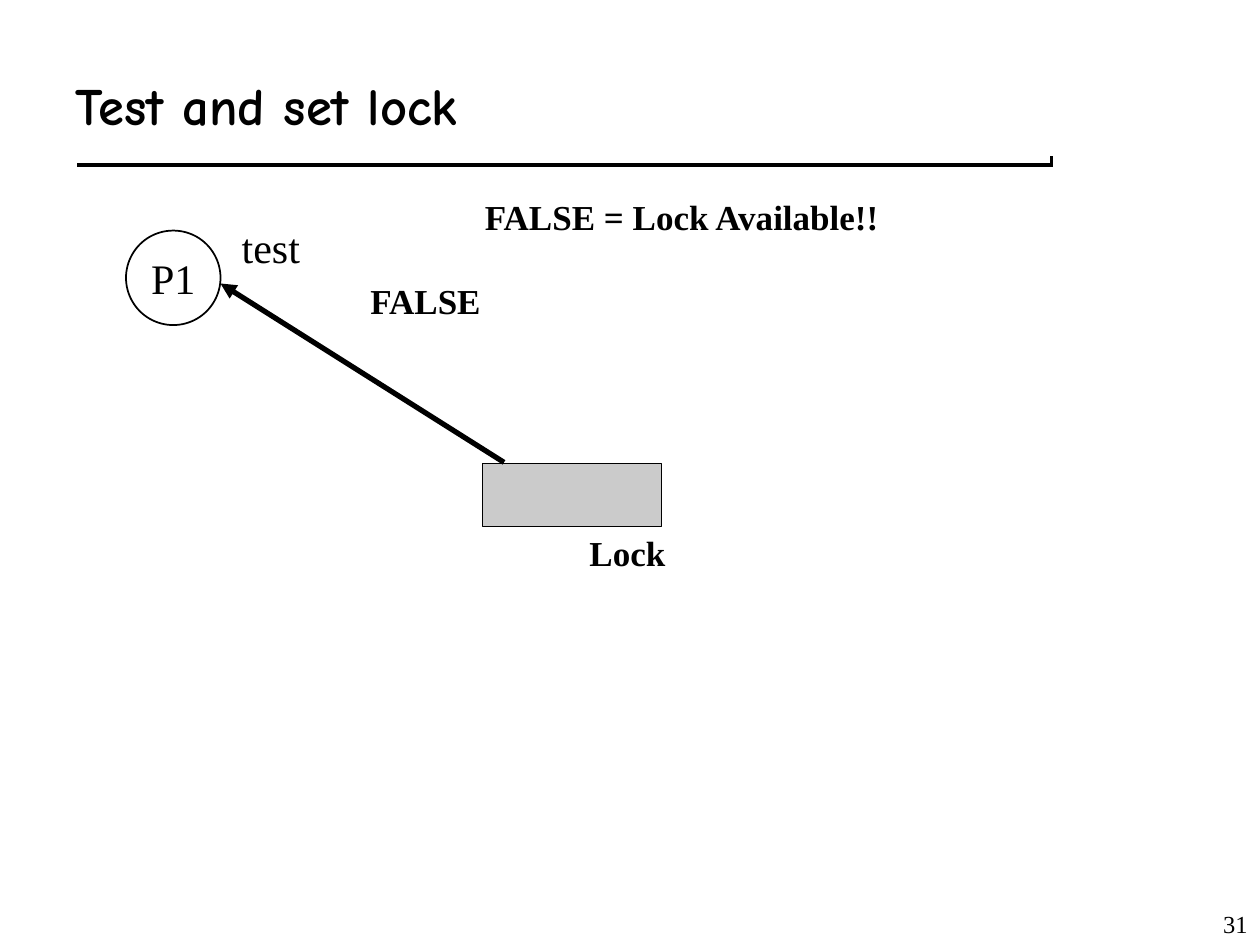
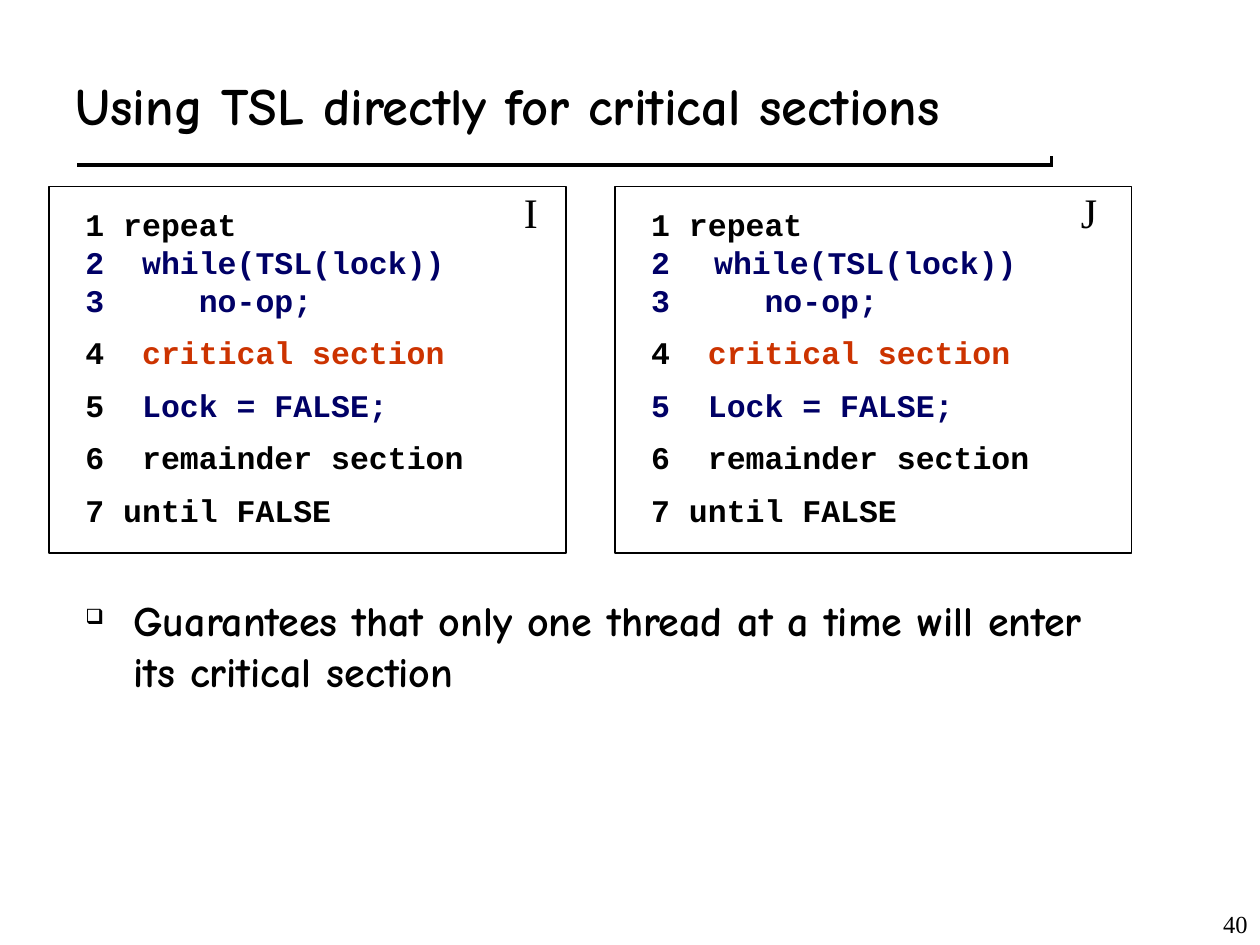
from lxml.etree import SubElement
from pptx import Presentation
from pptx.dml.color import RGBColor
from pptx.enum.shapes import MSO_CONNECTOR as LINK, MSO_SHAPE as SHAPE
from pptx.enum.text import MSO_ANCHOR as ANCHOR, PP_ALIGN as ALIGN
from pptx.oxml.ns import qn
from pptx.util import Pt

PX = 9144  # 100 px to the inch
INK = {"black": "000000", "white": "FFFFFF", "gray": "CBCBCB",
       "navy": "000066", "red": "CC3300"}
COMIC, MONO, SERIF = "Comic Neue", "Courier New", "Times New Roman"
LEAD = 1.2  # line pitch per point of text


def tint(name):
    return RGBColor.from_string(INK[name])


def node(home, tag, **attrs):
    return SubElement(home, qn(tag), attrs)


def add_run(para, text, font, size, ink="black", bold=False):
    run = para.add_run()
    run.text = text
    face = run.font
    face.name, face.size, face.bold = font, Pt(size), bold
    face.color.rgb = tint(ink)
    para.line_spacing = Pt(size * LEAD)


def add_mark(para, hang, kind, ink, scale=None, **attrs):
    """Give a paragraph a hanging bullet or number."""
    props = para._p.get_or_add_pPr()
    props.set("marL", str(hang * PX))
    props.set("indent", str(-hang * PX))
    node(node(props, "a:buClr"), "a:srgbClr", val=INK[ink])
    if scale:
        node(props, "a:buSzPct", val=str(scale * 1000))
    node(props, kind, **attrs)


def add_box(slide, box, wrap=True, anchor=ANCHOR.TOP):
    frame = slide.shapes.add_textbox(*(n * PX for n in box)).text_frame
    frame.word_wrap = wrap
    frame.vertical_anchor = anchor
    return frame


def add_label(slide, box, text, size, bold=False):
    frame = add_box(slide, box, wrap=False)
    add_run(frame.paragraphs[0], text, SERIF, size, bold=bold)


def add_form(slide, kind, box, fill=None):
    form = slide.shapes.add_shape(kind, *(n * PX for n in box))
    form.shadow.inherit = False
    if fill:
        form.fill.solid()
        form.fill.fore_color.rgb = tint(fill)
    else:
        form.fill.background()
    form.line.color.rgb = tint("black")
    form.line.width = Pt(1)
    return form


def add_line(slide, start, end, ink, width, arrow=False):
    line = slide.shapes.add_connector(LINK.STRAIGHT, *(n * PX for n in start + end))
    line.line.color.rgb = tint(ink)
    line.line.width = Pt(width)
    if arrow:
        node(line.line._get_or_add_ln(), "a:tailEnd", type="triangle")
    node(line._element.spPr, "a:effectLst")


def add_page(deck, title, number):
    slide = deck.slides.add_slide(deck.slide_layouts[6])
    # Rule: a white line set off from a black one leaves a thin edge
    for left, top, ink in ((61, 128, "black"), (58, 125, "white")):
        add_line(slide, (left, top), (left + 775, top), ink, 6)
    # Title
    head = add_box(slide, (50, 33, 858, 100), anchor=ANCHOR.MIDDLE)
    add_run(head.paragraphs[0], title, COMIC, 30, bold=True)
    # Page number
    foot = add_box(slide, (792, 700, 208, 50), anchor=ANCHOR.BOTTOM)
    foot.paragraphs[0].alignment = ALIGN.RIGHT
    add_run(foot.paragraphs[0], number, SERIF, 14)
    return slide


def draw_test(slide, left, top):
    """Process P1 reads the lock."""
    # Process
    ring = add_form(slide, SHAPE.OVAL, (left, top + 33, 75, 75))
    ring.text_frame.word_wrap = False
    ring.text_frame.vertical_anchor = ANCHOR.MIDDLE
    para = ring.text_frame.paragraphs[0]
    para.alignment = ALIGN.CENTER
    add_run(para, "P1", SERIF, 24)
    # Lock and the value it sends back
    add_form(slide, SHAPE.RECTANGLE, (left + 283, top + 218, 142, 50), "gray")
    for x, y, wide, text in ((358, 267, 80, "Lock"), (184, 67, 109, "FALSE"),
                             (275, 0, 338, "FALSE = Lock Available!!")):
        add_label(slide, (left + x, top + y, wide, 44), text, 20, bold=True)
    add_line(slide, (left + 300, top + 217), (left + 75, top + 75), "black", 3, arrow=True)
    add_label(slide, (left + 82, top + 21, 66, 50), "test", 24)


def draw_code(slide, box, name, inset, lines):
    """Framed listing of one thread, with its name in the corner."""
    left, top, wide, high = box
    frame = add_box(slide, (left + 19, top + 10, 423, 267))
    for row, parts in enumerate(lines):
        para = frame.add_paragraph() if row else frame.paragraphs[0]
        if parts is AUTO:
            add_mark(para, 50, "a:buAutoNum", "navy", type="arabicPlain", startAt="2")
        if row > 2:
            para.space_before = Pt(7 * LEAD)
        for text, ink in parts:
            add_run(para, text, MONO, 18, ink, bold=True)
    add_form(slide, SHAPE.RECTANGLE, box)
    tag = add_box(slide, (left + inset, top - 5, 81, 50))
    add_run(tag.paragraphs[0], name, SERIF, 24)


def draw_point(slide, box, text):
    para = add_box(slide, box).paragraphs[0]
    add_mark(para, 38, "a:buChar", "black", 50, char="❑")
    add_run(para, text, COMIC, 24, bold=True)


# Lines of the listings as runs of (text, ink)
AUTO = [("while(TSL(lock))", "navy")]  # numbered by its paragraph
TYPED = [("2  while(TSL(lock))", "navy")]


def get_code(second, digit):
    return [
        [("1 repeat", "black")],
        second,
        [("3     no-op;", "navy")],
        [("4  ", "black"), ("critical section", "red")],
        [("5  ", digit), ("Lock = FALSE;", "navy")],
        [("6  remainder section", "black")],
        [("7 until FALSE", "black")],
    ]


def main():
    deck = Presentation()
    deck.slide_width, deck.slide_height = 1000 * PX, 750 * PX

    draw_test(add_page(deck, "Test and set lock", "31"), 100, 150)

    slide = add_page(deck, "Using TSL directly for critical sections", "40")
    threads = (("I", 367, TYPED, "black"), ("J", 360, AUTO, "navy"))
    for col, (name, inset, second, digit) in enumerate(threads):
        draw_code(slide, (39 + 449 * col, 148, 410, 291), name, inset,
                  get_code(second, digit))
    draw_point(slide, (58, 467, 850, 225),
               "Guarantees that only one thread at a time will enter its critical section")

    deck.save("out.pptx")


if __name__ == "__main__":
    main()
